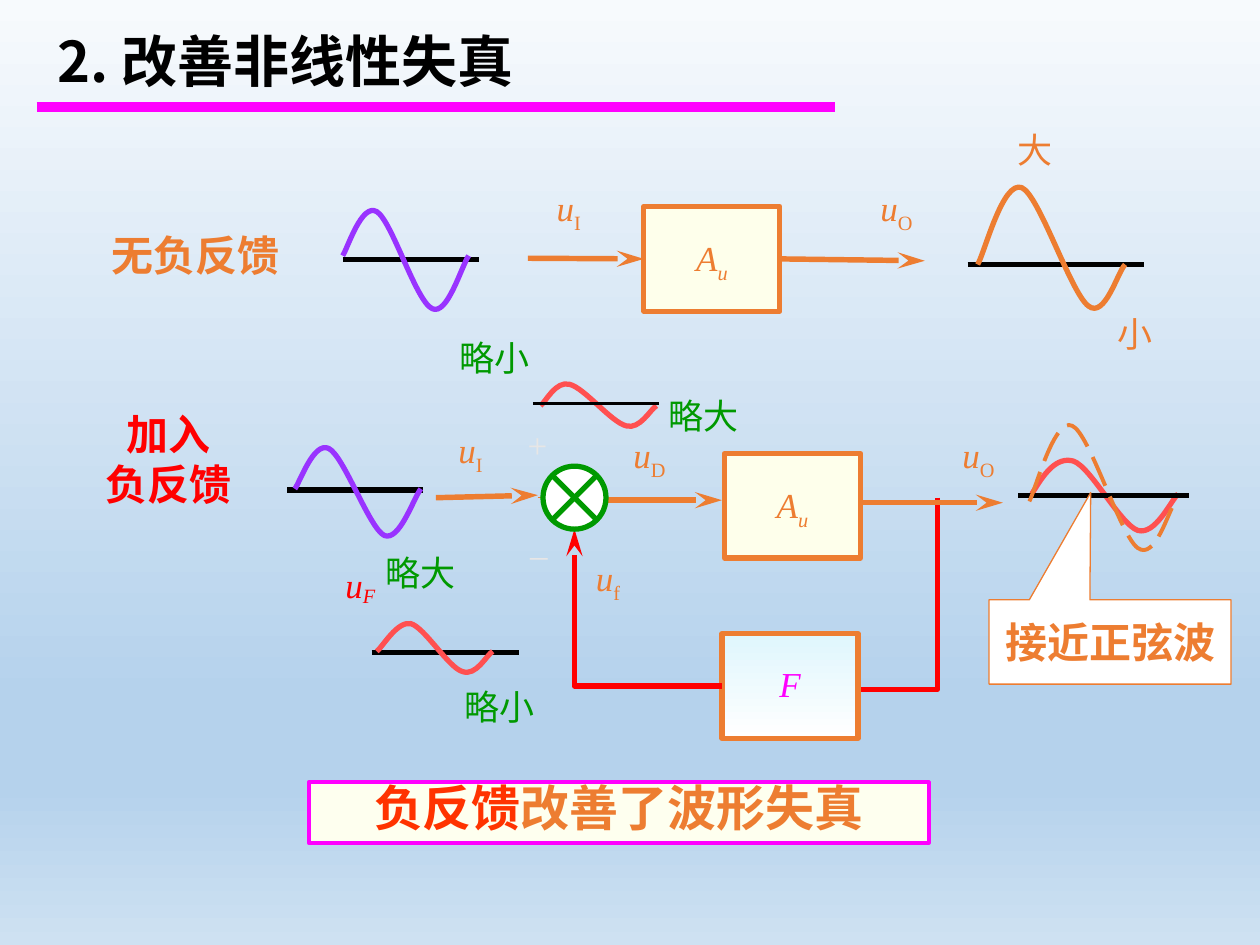
from dataclasses import dataclass

from lxml import etree
from pptx import Presentation
from pptx.dml.color import RGBColor
from pptx.enum.dml import MSO_LINE
from pptx.enum.shapes import MSO_CONNECTOR, MSO_SHAPE
from pptx.enum.text import MSO_ANCHOR, MSO_AUTO_SIZE, PP_ALIGN
from pptx.oxml.ns import qn
from pptx.util import Inches, Pt


@dataclass(frozen=True)
class Theme:
    orange: str = "ED7D31"
    red: str = "FF0000"
    coral: str = "FF5050"
    vermilion: str = "FF3300"
    purple: str = "9933FF"
    green: str = "009900"
    magenta: str = "FF00FF"
    black: str = "000000"
    white: str = "FFFFFF"
    pale: str = "E7E6E6"
    cream: str = "FEFFEB"
    banner: str = "FEFFEF"
    sky: tuple = ((0, "F7FAFD"), (74, "B5D2EC"), (83, "B5D2EC"), (100, "CEE1F2"))
    ice: tuple = ((0, "DFF6FD"), (100, "FFFFFF"))
    chinese: str = "Noto Sans CJK SC"
    symbols: str = "Times New Roman"
    title: int = 32
    summary: int = 28
    heading: int = 24
    body: int = 20
    stroke: float = 3
    signal: float = 3.13


class Diagram:
    def __init__(self, slide, theme):
        self.slide = slide
        self.theme = theme

    # Style helpers
    def gradient(self, fill, stops):
        fill.gradient()
        fill.gradient_angle = 270
        stop_list = fill.gradient_stops[0]._gs.getparent()
        for stop in list(stop_list):
            stop_list.remove(stop)
        for position, colour in stops:
            stop = etree.SubElement(stop_list, qn("a:gs"), pos=str(position * 1000))
            etree.SubElement(stop, qn("a:srgbClr"), val=colour)

    def outline(self, shape, colour, width):
        shape.line.color.rgb = RGBColor.from_string(colour)
        shape.line.width = Pt(width)

    def format_run(self, run, size, colour, font, bold=False, italic=False, baseline=0):
        run.font.size = Pt(size)
        run.font.name = font
        run.font.bold = bold
        run.font.italic = italic
        run.font.color.rgb = RGBColor.from_string(colour)
        properties = run._r.get_or_add_rPr()
        etree.SubElement(properties, qn("a:ea"), typeface=self.theme.chinese)
        if baseline:
            properties.set("baseline", str(baseline * 1000))

    def set_text(self, shape, text, size, colour, font=None, bold=False,
                 align=PP_ALIGN.CENTER, spacing=1.0, wrap=False):
        frame = shape.text_frame
        frame.word_wrap = wrap
        frame.text = text
        for index, paragraph in enumerate(frame.paragraphs):
            paragraph.alignment = align
            paragraph.line_spacing = spacing
            if index:
                paragraph.space_before = Pt(size * 0.35)
            for run in paragraph.runs:
                self.format_run(run, size, colour, font or self.theme.chinese, bold)
        return frame

    # Text
    def text_box(self, x, y, width, height):
        box = self.slide.shapes.add_textbox(*map(Inches, (x, y, width, height)))
        box.text_frame.auto_size = MSO_AUTO_SIZE.SHAPE_TO_FIT_TEXT
        return box

    def heading(self, text, x, y, width, height, colour, size=None, **options):
        box = self.text_box(x, y, width, height)
        self.set_text(box, text, size or self.theme.heading, colour, bold=True, **options)

    def note(self, text, x, y, colour, width=0.77):
        self.set_text(self.text_box(x, y, width, 0.44), text, self.theme.body, colour,
                      self.theme.symbols, align=PP_ALIGN.LEFT)

    def set_symbol(self, shape, letter, subscript, colour, slanted=False, baseline=-25, wrap=False):
        shape.text_frame.word_wrap = wrap
        paragraph = shape.text_frame.paragraphs[0]
        paragraph.alignment = PP_ALIGN.CENTER
        for text, italic, shift in ((letter, True, 0), (subscript, slanted, baseline)):
            if text:
                run = paragraph.add_run()
                run.text = text
                self.format_run(run, self.theme.body, colour, self.theme.symbols,
                                italic=italic, baseline=shift)

    def signal(self, subscript, x, y):
        box = self.text_box(x, y, 0.81, 0.44)
        self.set_symbol(box, "u", subscript, self.theme.orange, wrap=True)

    # Shapes
    def shape(self, kind, x, y, width, height, fill, line, line_width):
        shape = self.slide.shapes.add_shape(kind, *map(Inches, (x, y, width, height)))
        shape.shadow.inherit = False
        if isinstance(fill, str):
            shape.fill.solid()
            shape.fill.fore_color.rgb = RGBColor.from_string(fill)
        else:
            self.gradient(shape.fill, fill)
        self.outline(shape, line, line_width)
        shape.text_frame.vertical_anchor = MSO_ANCHOR.MIDDLE
        return shape

    def block(self, letter, subscript, x, y, fill, colour):
        block = self.shape(MSO_SHAPE.RECTANGLE, x, y, 1.08, 0.83, fill,
                           self.theme.orange, self.theme.stroke)
        self.set_symbol(block, letter, subscript, colour, slanted=True)
        block.text_frame.paragraphs[0].line_spacing = 0.9
        return block

    # Lines and waves
    def line(self, x1, y1, x2, y2, colour, width, arrow=False, kind=MSO_CONNECTOR.STRAIGHT):
        line = self.slide.shapes.add_connector(kind, *map(Inches, (x1, y1, x2, y2)))
        self.outline(line, colour, width)
        if arrow:
            etree.SubElement(line.line._get_or_add_ln(), qn("a:tailEnd"),
                             type="stealth", w="med", len="lg")
        etree.SubElement(line._element.spPr, qn("a:effectLst"))
        return line

    def arrow(self, x1, y1, x2, y2):
        return self.line(x1, y1, x2, y2, self.theme.orange, self.theme.signal, arrow=True)

    def axis(self, x1, x2, y, width=None):
        self.line(x1, y, x2, y, self.theme.black, width or self.theme.stroke)

    def polyline(self, points, colour, width=None):
        points = [(Inches(x), Inches(y)) for x, y in points]
        builder = self.slide.shapes.build_freeform(*points[0])
        builder.add_line_segments(points[1:], close=False)
        shape = builder.convert_to_shape()
        shape.fill.background()
        shape.shadow.inherit = False
        self.outline(shape, colour, width or self.theme.stroke)
        return shape

    def wave(self, points, colour, width=None):
        """Draw Bezier curves: a start point, then three points for each curve."""
        shape = self.polyline(points, colour, width)
        segments = list(shape._element.iter(qn("a:lnTo")))
        for first in range(0, len(segments), 3):
            curve = etree.SubElement(segments[first].getparent(), qn("a:cubicBezTo"))
            for segment in segments[first:first + 3]:
                curve.append(segment[0])
                segment.getparent().remove(segment)
        return shape


def main():
    theme = Theme()
    presentation = Presentation()
    presentation.slide_width, presentation.slide_height = Inches(10), Inches(7.5)
    slide = presentation.slides.add_slide(presentation.slide_layouts[6])
    diagram = Diagram(slide, theme)
    diagram.gradient(slide.background.fill, theme.sky)

    # Title
    diagram.heading("2. 改善非线性失真", 0.36, 0.22, 4.08, 0.59, theme.black, theme.title,
                    align=PP_ALIGN.JUSTIFY, spacing=0.9, wrap=True)
    diagram.line(0.29, 0.85, 6.63, 0.85, theme.magenta, 6)

    # Without feedback
    diagram.heading("无负反馈", 0.78, 1.77, 1.55, 0.5, theme.orange)
    diagram.axis(2.72, 3.8, 2.06)
    diagram.wave([(2.72, 2.03), (2.76, 1.97), (2.87, 1.61), (2.99, 1.68), (3.11, 1.75),
                  (3.3, 2.39), (3.43, 2.45), (3.55, 2.51), (3.66, 2.12), (3.72, 2.03)], theme.purple)
    open_amplifier = diagram.block("A", "u", 5.11, 1.64, theme.cream, theme.orange)
    diagram.arrow(4.19, 2.05, 5.11, 2.05).end_connect(open_amplifier, 1)
    diagram.arrow(6.19, 2.07, 7.34, 2.07).begin_connect(open_amplifier, 3)
    diagram.signal("I", 4.11, 1.43)
    diagram.signal("O", 6.71, 1.43)
    diagram.axis(7.68, 9.08, 2.1)
    diagram.wave([(7.76, 2.1), (7.82, 1.99), (7.96, 1.43), (8.11, 1.49), (8.25, 1.55),
                  (8.5, 2.33), (8.64, 2.43), (8.77, 2.53), (8.87, 2.16), (8.93, 2.1)], theme.orange)
    diagram.note("大", 7.98, 0.97, theme.orange, 0.48)
    diagram.note("小", 8.77, 2.43, theme.orange, 0.48)

    # With feedback: input and error signals
    diagram.heading("加入\n负反馈", 0.73, 3.3, 1.21, 0.87, theme.red, spacing=0.7)
    diagram.axis(2.28, 3.36, 3.89)
    diagram.wave([(2.34, 3.88), (2.38, 3.83), (2.49, 3.5), (2.61, 3.56), (2.73, 3.62),
                  (2.93, 4.19), (3.05, 4.25), (3.17, 4.3), (3.28, 3.96), (3.34, 3.88)], theme.purple)
    diagram.wave([(4.29, 3.22), (4.33, 3.19), (4.41, 3.02), (4.52, 3.05), (4.64, 3.08),
                  (4.85, 3.35), (4.97, 3.38), (5.08, 3.41), (5.16, 3.25), (5.21, 3.22)], theme.coral)
    diagram.axis(4.23, 5.23, 3.2, 1.5)
    for text, x, y in (("略大", 2.96, 4.33), ("略小", 3.59, 5.39),
                       ("略小", 3.55, 2.62), ("略大", 5.21, 3.08)):
        diagram.note(text, x, y, theme.green)
    diagram.note("+", 4.09, 3.31, theme.pale, 0.36)
    diagram.note("–", 4.11, 4.18, theme.pale, 0.34)

    # Feedback signal
    diagram.axis(2.95, 4.12, 5.18)
    diagram.wave([(2.99, 5.17), (3.04, 5.13), (3.15, 4.93), (3.26, 4.95), (3.37, 4.98),
                  (3.56, 5.3), (3.67, 5.33), (3.78, 5.37), (3.86, 5.2), (3.91, 5.17)], theme.coral)
    feedback_label = diagram.text_box(2.62, 4.42, 0.48, 0.44)
    diagram.set_symbol(feedback_label, "u", "F", theme.red, slanted=True, baseline=-14)

    # Feedback loop
    diagram.polyline([(7.44, 3.95), (7.44, 5.47), (6.83, 5.47)], theme.red)
    feedback = diagram.block("F", "", 5.73, 5.03, theme.ice, theme.magenta)
    loop = diagram.line(5.73, 5.44, 4.56, 4.2, theme.red, theme.signal, True, MSO_CONNECTOR.ELBOW)
    loop.begin_connect(feedback, 1)
    loop._element.spPr.find(qn("a:prstGeom")).set("prst", "bentConnector2")
    diagram.block("A", "u", 5.75, 3.6, theme.cream, theme.orange)
    diagram.arrow(3.46, 3.95, 4.27, 3.93)
    diagram.arrow(4.81, 3.97, 5.73, 3.97)
    diagram.arrow(6.81, 3.99, 7.96, 3.99)
    diagram.line(4.27, 3.95, 4.81, 3.95, theme.orange, 0.75)
    diagram.shape(MSO_SHAPE.FLOWCHART_SUMMING_JUNCTION, 4.31, 3.7, 0.5, 0.5,
                  theme.white, theme.green, theme.stroke)
    for subscript, x, y in (("I", 3.33, 3.35), ("D", 4.75, 3.39),
                            ("O", 7.36, 3.39), ("f", 4.42, 4.37)):
        diagram.signal(subscript, x, y)

    # Corrected output against the distorted one
    diagram.wave([(8.19, 3.92), (8.28, 3.77), (8.38, 3.62), (8.52, 3.66), (8.66, 3.71),
                  (8.89, 4.16), (9.03, 4.21), (9.17, 4.25), (9.29, 3.98), (9.35, 3.92)], theme.coral)
    diagram.axis(8.08, 9.44, 3.93)
    distorted = diagram.wave(
        [(8.17, 3.98), (8.22, 3.88), (8.37, 3.31), (8.51, 3.38), (8.65, 3.44),
         (8.89, 4.25), (9.03, 4.35), (9.17, 4.45), (9.27, 4.06), (9.33, 3.98)], theme.orange, 2.25)
    distorted.line.dash_style = MSO_LINE.LONG_DASH
    callout = diagram.shape(MSO_SHAPE.RECTANGULAR_CALLOUT, 7.85, 4.76, 1.92, 0.67,
                            theme.white, theme.orange, 0.75)
    callout.adjustments[0], callout.adjustments[1] = -0.08, -1.77
    diagram.set_text(callout, "接近正弦波", theme.heading, theme.orange, bold=True)

    # Conclusion
    banner = diagram.shape(MSO_SHAPE.RECTANGLE, 2.45, 6.21, 4.92, 0.48,
                           theme.banner, theme.magenta, 2.25)
    frame = diagram.set_text(banner, "负反馈", theme.summary, theme.vermilion,
                             bold=True, spacing=0.8, wrap=True)
    run = frame.paragraphs[0].add_run()
    run.text = "改善了波形失真"
    diagram.format_run(run, theme.summary, theme.orange, theme.chinese, bold=True)

    presentation.save("out.pptx")


if __name__ == "__main__":
    main()
